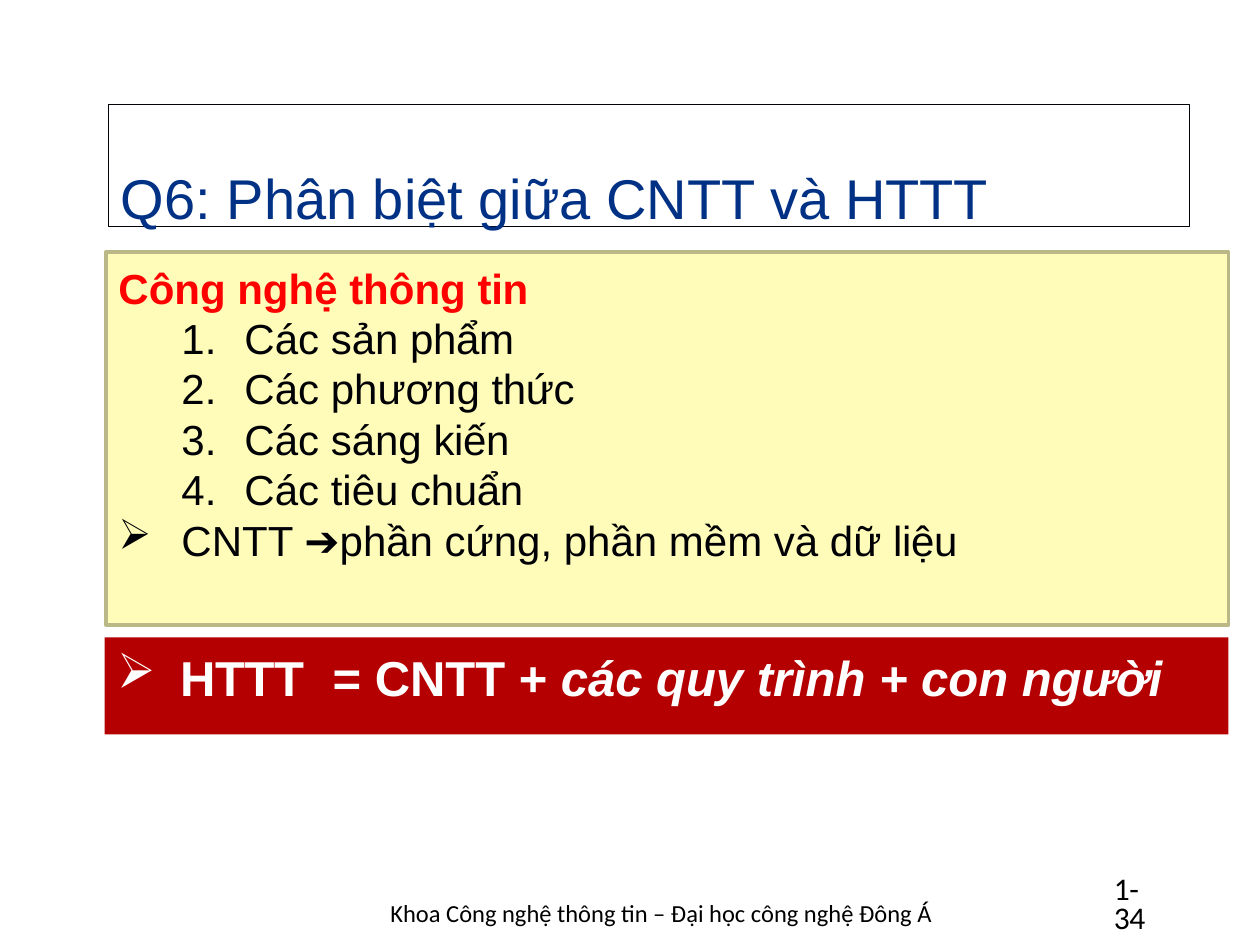
from lxml import etree
from pptx import Presentation, util as u
from pptx.dml.color import RGBColor
from pptx.enum import shapes, text
from pptx.oxml.ns import qn

COLORS = {
    "black": "000000", "ink": "000105", "navy": "003185", "red": "FF0000",
    "white": "FFFFFF", "cream": "FFFBB9", "khaki": "BBB887", "crimson": "B40000",
    "frame": "000308",
}
WIDTH, HEIGHT = u.Inches(10), u.Inches(7.5)
COLUMNS, ROWS = 100, 75


def color(name):
    return RGBColor.from_string(COLORS[name])


def columns(count):
    return u.Emu(round(WIDTH * count / COLUMNS))


def rows(count):
    return u.Emu(round(HEIGHT * count / ROWS))


def place(left, top, width, height):
    """Turn grid columns and rows into slide lengths."""
    return columns(left), rows(top), columns(width), rows(height)


def set_frame(box, side=0, top=0, wrap=True):
    frame = box.text_frame
    frame.word_wrap = wrap
    frame.auto_size = text.MSO_AUTO_SIZE.NONE
    frame.vertical_anchor = text.MSO_ANCHOR.TOP
    frame.margin_left = frame.margin_right = columns(side)
    frame.margin_top, frame.margin_bottom = rows(top), 0
    return frame


def add_panel(slide, area, inset, fill=None, line=None, weight=0):
    """Add a rectangle and return its text frame."""
    box = slide.shapes.add_shape(shapes.MSO_SHAPE.RECTANGLE, *place(*area))
    box.shadow.inherit = False
    if fill:
        box.fill.solid()
        box.fill.fore_color.rgb = color(fill)
    else:
        box.fill.background()
    if line:
        box.line.color.rgb = color(line)
        box.line.width = u.Pt(weight)
    else:
        box.line.fill.background()
    return set_frame(box, top=inset)


def add_label(slide, area, **frame_options):
    box = slide.shapes.add_textbox(*place(*area))
    return set_frame(box, **frame_options)


def add_para(frame, spans, size, ink, font="Arial", bold=False, left=0, hanging=0,
             bullet=None, tabs=(), spacing=None):
    """Add a paragraph; spans are (words, letter spacing, italic)."""
    first = frame.paragraphs[0]
    para = frame.add_paragraph() if first.runs else first
    para.alignment = text.PP_ALIGN.LEFT
    if spacing:
        para.line_spacing = u.Pt(spacing)
    props = para._p.get_or_add_pPr()
    props.set("marL", str(columns(left)))
    props.set("indent", str(-columns(hanging)))
    if bullet == "number":
        etree.SubElement(props, qn("a:buAutoNum"), type="arabicPeriod")
    elif bullet:
        etree.SubElement(props, qn("a:buChar"), char=bullet)
    if tabs:
        tab_list = etree.SubElement(props, qn("a:tabLst"))
        for stop in tabs:
            etree.SubElement(tab_list, qn("a:tab"), pos=str(columns(stop)), algn="l")
    for words, tracking, italic in spans:
        span = para.add_run()
        span.text = words
        span.font.name, span.font.size = font, u.Pt(size)
        span.font.bold, span.font.italic = bold, italic
        span.font.color.rgb = color(ink)
        if tracking:
            span._r.get_or_add_rPr().set("spc", str(round(tracking * 100)))


def add_title(slide):
    frame = add_panel(slide, (8.6, 8.3, 85.8, 9.7), 4.7, line="frame", weight=0.75)
    spans = [("Q6: Phân biệt giữa CNTT và", 0, False), (" HTTT", -0.2, False)]
    add_para(frame, spans, 32, "navy", left=1)


def add_technology(slide):
    frame = add_panel(slide, (8.4, 20, 89.1, 29.6), 0.8, "cream", "khaki", 2)
    heading = [("Công nghệ thông ", 0, False), ("tin", -0.2, False)]
    add_para(frame, heading, 24, "red", bold=True, left=1)
    items = [("Các sản ", "phẩm"), ("Các phương ", "thức"),
             ("Các sáng ", "kiến"), ("Các tiêu ", "chuẩn")]
    for start, end in items:
        add_para(frame, [(start, 0, False), (end, -0.2, False)], 24, "ink",
                 left=11, hanging=5, bullet="number", tabs=[11], spacing=28.8)
    summary = [("CNTT ➔phần cứng, phần mềm và dữ ", 0, False), ("liệu", -0.2, False)]
    add_para(frame, summary, 24, "ink", left=6, hanging=5, bullet="➢",
             tabs=[6], spacing=28.8)


def add_system(slide):
    frame = add_panel(slide, (8.3, 50.6, 89.2, 7.7), 0.8, "crimson")
    spans = [("HTTT", -0.2, False), ("\t= CNTT + ", 0, False),
             ("các quy trình + con ", 0, True), ("người", -0.1, True)]
    add_para(frame, spans, 28, "white", bold=True, left=6, hanging=5,
             bullet="➢", tabs=[6, 18.1])


def add_footer(slide):
    credit = add_label(slide, (30, 70.8, 50.3, 3.4), side=1, top=0.5, wrap=False)
    add_para(credit, [("Khoa Công nghệ thông tin – Đại học công nghệ Đông Á", 0, False)],
             14, "black", font="Calibri")
    number = add_label(slide, (88.3, 69.7, 4.6, 2.5))
    add_para(number, [("1-", -0.1, False), ("34", -0.2, False)], 18, "black",
             font="Calibri", left=0.1, spacing=16.5)


def main():
    deck = Presentation()
    deck.slide_width, deck.slide_height = WIDTH, HEIGHT
    page = deck.slides.add_slide(deck.slide_layouts[6])
    # Footer, title, then the two content panels
    add_footer(page)
    add_title(page)
    add_technology(page)
    add_system(page)
    deck.save("out.pptx")


if __name__ == "__main__":
    main()
